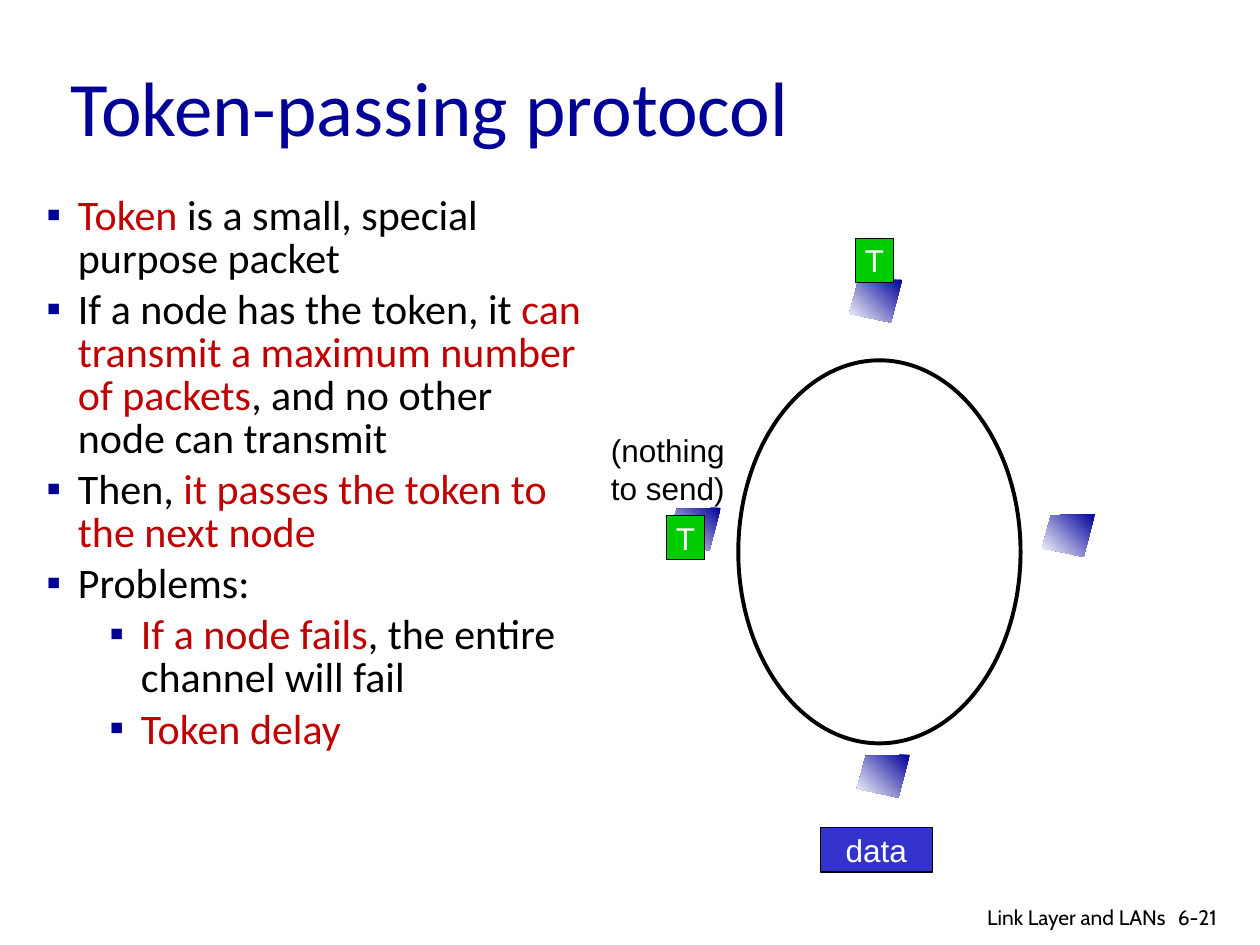
from typing import NamedTuple

from lxml.etree import SubElement
from pptx import Presentation
from pptx.dml.color import RGBColor
from pptx.enum.shapes import MSO_SHAPE
from pptx.enum.text import MSO_ANCHOR, MSO_AUTO_SIZE, PP_ALIGN
from pptx.oxml.ns import qn
from pptx.util import Emu, Inches, Pt

NAVY = RGBColor(0x00, 0x00, 0x99)
BLUE = RGBColor(0x33, 0x33, 0xCC)
GREEN = RGBColor(0x00, 0xCC, 0x00)
RED = RGBColor(0xC0, 0x00, 0x00)
BLACK = RGBColor(0x00, 0x00, 0x00)
WHITE = RGBColor(0xFF, 0xFF, 0xFF)

COLS, ROWS = 100, 75
WIDTH, HEIGHT = Inches(10), Inches(7.5)


class Area(NamedTuple):
    """Left, top, width and height in grid columns and rows."""
    col: float
    row: float
    cols: float
    rows: float


class Run(NamedTuple):
    text: str
    color: RGBColor = BLACK


class Item(NamedTuple):
    runs: list[Run]
    level: int = 0


class Tag(NamedTuple):
    text: str
    area: Area
    fill: RGBColor


NODES = [(82.7, 40.8), (53, 40.3), (67.4, 22.2), (68, 59.9)]
CORNERS = [(4.2, 0), (0.7, 0.1), (0, 2.7), (3.3, 3.4)]
TAGS = [
    Tag("T", Area(67.9, 18.9, 3, 3.5), GREEN),
    Tag("data", Area(65.1, 65.7, 8.9, 3.5), BLUE),
    Tag("T", Area(52.9, 40.9, 3, 3.5), GREEN),
]
POINTS = [
    Item([Run("Token", RED), Run(" is a small, special purpose packet")]),
    Item([Run("If a node has the token, it "),
          Run("can transmit a maximum number of packets", RED),
          Run(", and no other node can transmit")]),
    Item([Run("Then, "), Run("it passes the token to the next node", RED)]),
    Item([Run("Problems:")]),
    Item([Run("If a node fails", RED), Run(", the entire channel will fail")], 1),
    Item([Run("Token delay", RED)], 1),
]


def across(cols: float) -> Emu:
    return Emu(round(WIDTH * cols / COLS))


def down(rows: float) -> Emu:
    return Emu(round(HEIGHT * rows / ROWS))


def place(area: Area) -> tuple[Emu, Emu, Emu, Emu]:
    return across(area.col), down(area.row), across(area.cols), down(area.rows)


def add_bullet(para, level: int) -> None:
    props = para._p.get_or_add_pPr()
    props.set("marL", str(Inches(0.25 + 0.5 * level)))
    props.set("indent", str(-Inches(0.25)))
    color = SubElement(props, qn("a:buClr"))
    SubElement(color, qn("a:srgbClr"), val=str(NAVY))
    SubElement(props, qn("a:buFont"), typeface="Arial")
    SubElement(props, qn("a:buChar"), char="▪")


def write(frame, items: list[Item], *, size: float, font: str,
          align: PP_ALIGN = PP_ALIGN.LEFT, anchor: MSO_ANCHOR = MSO_ANCHOR.TOP,
          wrap: bool = True, bullets: bool = False) -> None:
    frame.word_wrap = wrap
    frame.vertical_anchor = anchor
    for index, item in enumerate(items):
        para = frame.add_paragraph() if index else frame.paragraphs[0]
        para.alignment = align
        if bullets:
            para.level = item.level
            add_bullet(para, item.level)
            para.line_spacing = 0.85
            if index:
                para.space_before = Pt(0.2 * size)
        for part in item.runs:
            run = para.add_run()
            run.text = part.text
            run.font.size = Pt(size)
            run.font.name = font
            run.font.color.rgb = part.color


def add_text(slide, area: Area, items: list[Item], **style):
    box = slide.shapes.add_textbox(*place(area))
    write(box.text_frame, items, **style)
    return box


def add_node(slide, col: float, row: float) -> None:
    dots = [(across(col + x), down(row + y)) for x, y in CORNERS]
    pen = slide.shapes.build_freeform(*dots[0])
    pen.add_line_segments(dots[1:], close=True)
    node = pen.convert_to_shape()
    node.shadow.inherit = False
    node.line.fill.background()
    node.fill.gradient()
    node.fill.gradient_angle = 225
    for stop, color in zip(node.fill.gradient_stops, (NAVY, WHITE)):
        stop.color.rgb = color


def add_ring(slide, area: Area) -> None:
    ring = slide.shapes.add_shape(MSO_SHAPE.OVAL, *place(area))
    ring.shadow.inherit = False
    ring.fill.background()
    ring.line.color.rgb = BLACK
    ring.line.width = Pt(2.25)


def add_tag(slide, tag: Tag) -> None:
    box = slide.shapes.add_shape(MSO_SHAPE.RECTANGLE, *place(tag.area))
    box.shadow.inherit = False
    box.fill.solid()
    box.fill.fore_color.rgb = tag.fill
    box.line.color.rgb = BLACK
    box.line.width = Pt(0.75)
    write(box.text_frame, [Item([Run(tag.text, WHITE)])], size=18, font="Arial",
          align=PP_ALIGN.CENTER, anchor=MSO_ANCHOR.MIDDLE, wrap=False)


def main() -> None:
    deck = Presentation()
    deck.slide_width, deck.slide_height = WIDTH, HEIGHT
    slide = deck.slides.add_slide(deck.slide_layouts[6])

    for col, row in NODES:
        add_node(slide, col, row)
    add_text(slide, Area(2.7, 15.1, 44.9, 50.8), POINTS,
             size=24, font="Calibri", bullets=True)
    add_ring(slide, Area(58.6, 28.6, 22.4, 30.4))
    for tag in TAGS:
        add_tag(slide, tag)
    note = add_text(slide, Area(47.5, 33.7, 11, 7),
                    [Item([Run("(nothing")]), Item([Run("to send)")])],
                    size=18, font="Arial", wrap=False)
    note.text_frame.auto_size = MSO_AUTO_SIZE.SHAPE_TO_FIT_TEXT
    add_text(slide, Area(4.6, 2.1, 85, 12.5),
             [Item([Run("Token-passing protocol", NAVY)])],
             size=44, font="Calibri", anchor=MSO_ANCHOR.MIDDLE)
    add_text(slide, Area(92.5, 71.3, 6, 3), [Item([Run("6-21")])],
             size=12, font="Cabin")
    add_text(slide, Area(69.7, 71.3, 23.8, 2.6),
             [Item([Run("Link Layer and LANs")])],
             size=12, font="Cabin", align=PP_ALIGN.RIGHT)
    deck.save("out.pptx")


if __name__ == "__main__":
    main()
